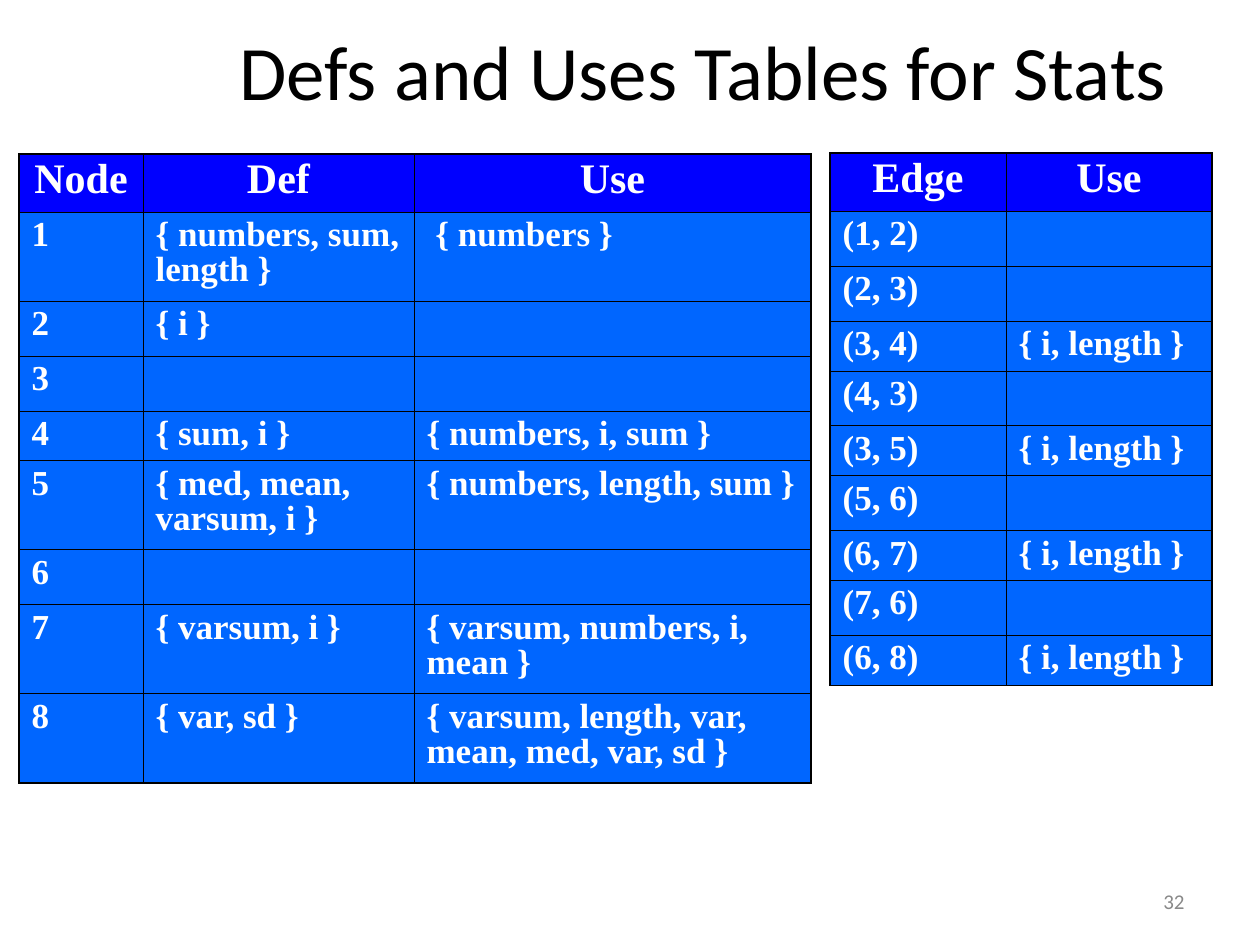
from lxml import etree
from pptx import Presentation
from pptx import util as u
from pptx.dml.color import RGBColor
from pptx.enum import text
from pptx.oxml.ns import qn

PX = 914400 / 126  # EMU per px
BLACK, WHITE, GREY = "000000", "FFFFFF", "898989"
HEADER_FILL, BODY_FILL = "0000FF", "0066FF"
OUTER, INNER = 1.08, 0.45  # border widths in points
HEADER_HEIGHT, LINE_HEIGHT, EMPTY_HEIGHT, WRAPPED_HEIGHT = 58, 50, 55, 89
LINE_LIMIT = 22  # longest entry that stays on one line

NODES = [
    ("Node", "Def", "Use"),
    ("1", "{ numbers, sum, length }", " { numbers }"),
    ("2", "{ i }", ""),
    ("3", "", ""),
    ("4", "{ sum, i }", "{ numbers, i, sum }"),
    ("5", "{ med, mean, varsum, i }", "{ numbers, length, sum }"),
    ("6", "", ""),
    ("7", "{ varsum, i }", "{ varsum, numbers, i, mean }"),
    ("8", "{ var, sd }", "{ varsum, length, var, mean, med, var, sd }"),
]
EDGES = [
    ("Edge", "Use"),
    ("(1, 2)", ""),
    ("(2, 3)", ""),
    ("(3, 4)", "{ i, length }"),
    ("(4, 3)", ""),
    ("(3, 5)", "{ i, length }"),
    ("(5, 6)", ""),
    ("(6, 7)", "{ i, length }"),
    ("(7, 6)", ""),
    ("(6, 8)", "{ i, length }"),
]


def px(length):
    return u.Emu(round(length * PX))


def colour(value):
    return RGBColor.from_string(value)


def write(frame, words, size, font="Calibri", fill=BLACK, bold=False,
          align=text.PP_ALIGN.LEFT, spacing=None):
    para = frame.paragraphs[0]
    para.alignment = align
    para.line_spacing = spacing
    if words:
        span = para.add_run()
        span.text = words
        span.font.size = u.Pt(size)
        span.font.name = font
        span.font.bold = bold
        span.font.color.rgb = colour(fill)


def place(box, left, top, width, height):
    box.left, box.top = px(left), px(top)
    box.width, box.height = px(width), px(height)


def add_border(cell, side, width):
    line = etree.SubElement(cell._tc.get_or_add_tcPr(), qn("a:ln" + side),
                            w=str(u.Pt(width)))
    fill = etree.SubElement(line, qn("a:solidFill"))
    etree.SubElement(fill, qn("a:srgbClr"), val=BLACK)


def row_height(index, row):
    if index == 0:
        return HEADER_HEIGHT
    if max(map(len, row)) > LINE_LIMIT:
        return WRAPPED_HEIGHT
    return EMPTY_HEIGHT if "" in row else LINE_HEIGHT


def add_grid(page, left, top, widths, rows):
    heights = [row_height(index, row) for index, row in enumerate(rows)]
    table = page.shapes.add_table(
        len(rows), len(widths), px(left), px(top),
        px(sum(widths)), px(sum(heights))).table
    table.horz_banding = False
    for column, width in zip(table.columns, widths):
        column.width = px(width)
    last_row, last_column = len(rows) - 1, len(widths) - 1
    for r, row in enumerate(rows):
        table.rows[r].height = px(heights[r])
        header = r == 0
        for c, words in enumerate(row):
            cell = table.cell(r, c)
            # Thick outline, thin inner lines; borders come before the fill
            edges = {"L": c == 0, "R": c == last_column,
                     "T": r == 0, "B": r == last_row}
            for side, outer in edges.items():
                add_border(cell, side, OUTER if outer else INNER)
            cell.fill.solid()
            cell.fill.fore_color.rgb = colour(HEADER_FILL if header else BODY_FILL)
            write(cell.text_frame, words, 24 if header else 20,
                  font="Times New Roman", fill=WHITE, bold=True, spacing=0.9,
                  align=text.PP_ALIGN.CENTER if header else text.PP_ALIGN.LEFT)


def add_title(page, words):
    title = page.shapes.title
    place(title, 192, 20, 1040, 100)
    title.text_frame.vertical_anchor = text.MSO_ANCHOR.MIDDLE
    write(title.text_frame, words, 44, align=text.PP_ALIGN.CENTER)


def add_page_number(page, words):
    box = page.shapes.add_textbox(px(903), px(876), px(294), px(50))
    box.text_frame.word_wrap = True
    box.text_frame.vertical_anchor = text.MSO_ANCHOR.MIDDLE
    write(box.text_frame, words, 12, fill=GREY, align=text.PP_ALIGN.RIGHT)


def main():
    deck = Presentation()
    deck.slide_width, deck.slide_height = px(1260), px(945)
    page = deck.slides.add_slide(deck.slide_layouts[5])
    add_title(page, "Defs and Uses Tables for Stats ")
    add_grid(page, 19, 154, [124, 271, 397], NODES)
    add_grid(page, 830, 153, [176, 206], EDGES)
    add_page_number(page, "32")
    deck.save("out.pptx")


if __name__ == "__main__":
    main()
